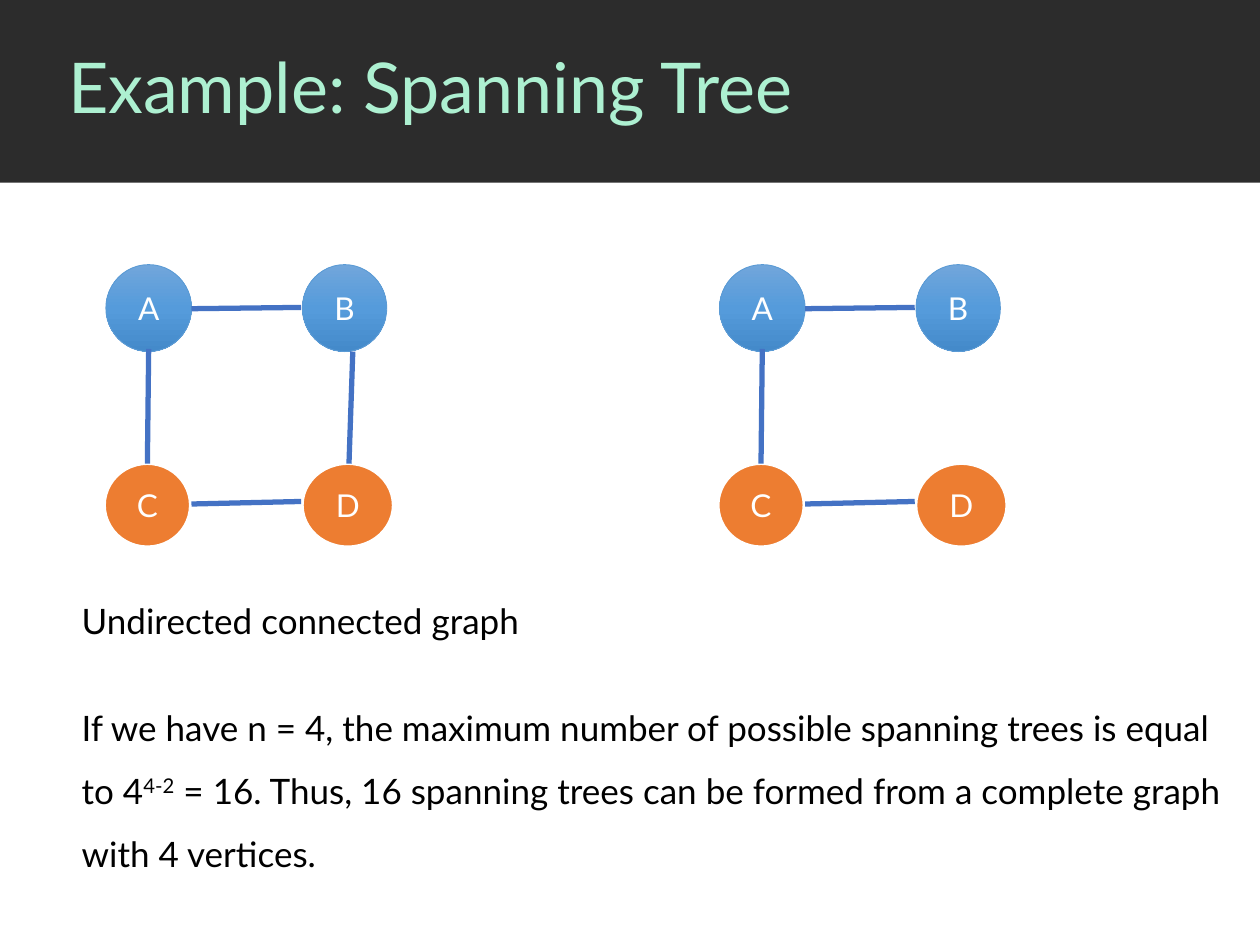
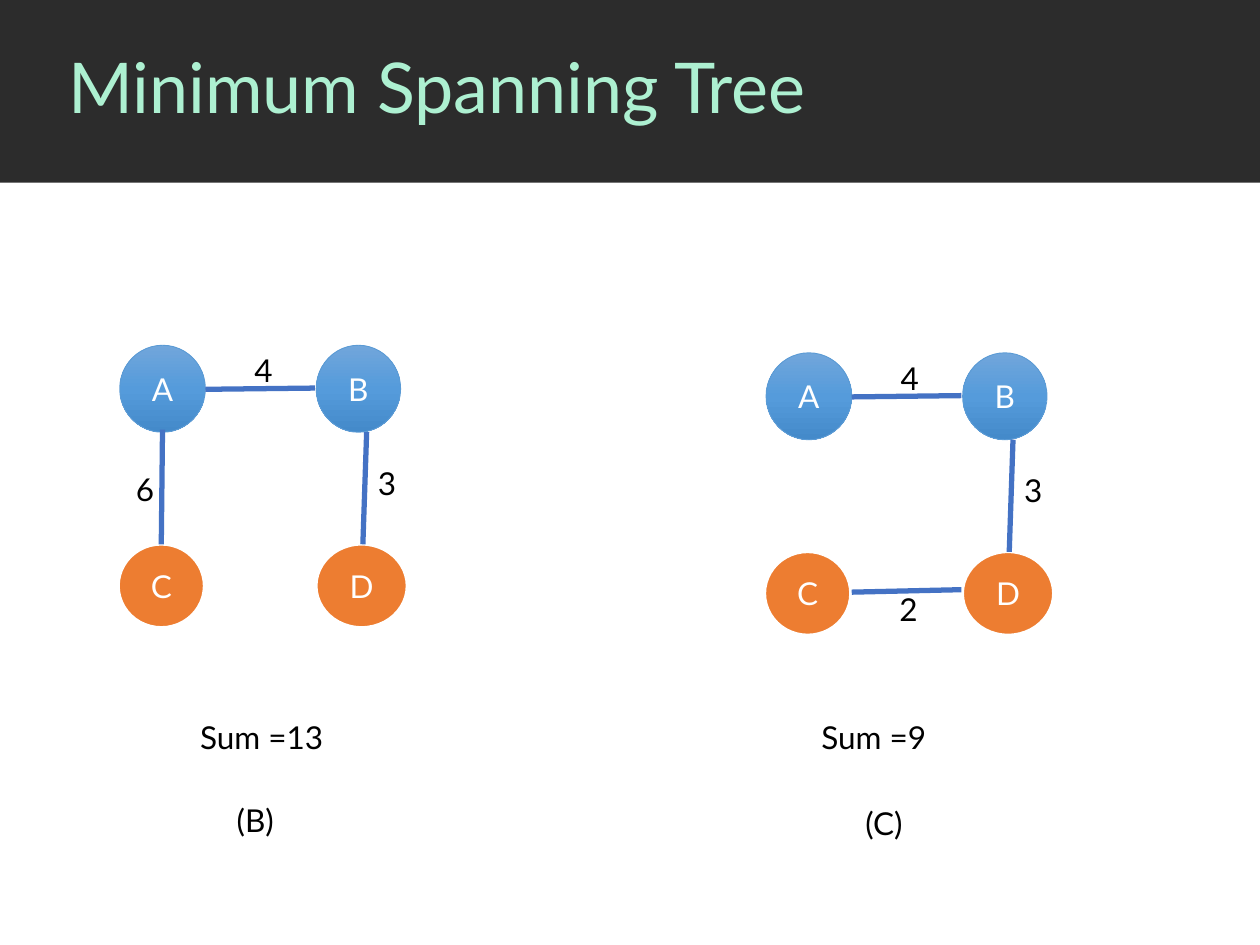
from copy import deepcopy
from dataclasses import dataclass

from pptx import Presentation
from pptx.dml.color import RGBColor
from pptx.enum.shapes import MSO_CONNECTOR, MSO_SHAPE
from pptx.enum.text import MSO_ANCHOR, MSO_AUTO_SIZE, PP_ALIGN
from pptx.oxml.ns import qn
from pptx.oxml.xmlchemy import OxmlElement
from pptx.util import Inches, Pt


@dataclass(frozen=True)
class Theme:
    font: str = "Lato"
    band: str = "2C2C2C"
    title: str = "ADF0D1"
    text: str = "000000"
    white: str = "FFFFFF"
    orange: str = "ED7D31"
    blues: tuple = ("71A6DB", "559BDB", "448ACA")
    blue_line: str = "5B9BD5"
    edge: str = "4472C4"
    title_size: int = 40
    body_size: int = 20
    label_size: int = 18


THEME = Theme()

# Offsets from a graph's top left corner, in inches
NODES = {
    "D": (1.57, 1.58, 0.72, 0.66),
    "B": (1.57, 0, 0.67, 0.69),
    "C": (0, 1.58, 0.68, 0.66),
    "A": (0.01, 0, 0.68, 0.69),
}
EDGES = {
    "AC": (0.35, 0.67, 0.34, 1.58),
    "AB": (1.56, 0.34, 0.69, 0.35),
    "BD": (1.97, 0.69, 1.94, 1.58),
    "CD": (1.56, 1.88, 0.69, 1.9),
}
WEIGHT_OFFSETS = {"AB": (0.98, 0), "AC": (0.04, 0.94),
                  "BD": (1.96, 0.89), "CD": (0.97, 1.83)}


def rgb(value):
    return RGBColor.from_string(value)


def format_runs(p, size, color):
    for r in p.runs:
        r.font.name = THEME.font
        r.font.size = Pt(size)
        r.font.color.rgb = rgb(color)


def add_band(slide):
    """Place the title band on the slide's layout, behind its placeholders."""
    sp = slide.shapes.add_shape(MSO_SHAPE.RECTANGLE, 0, 0, Inches(10), Inches(1.45))
    sp.shadow.inherit = False
    sp.fill.solid()
    sp.fill.fore_color.rgb = rgb(THEME.band)
    sp.line.fill.background()
    slide.slide_layout.shapes.element.insert(2, sp.element)


def add_titled_slide(prs, title):
    slide = prs.slides.add_slide(prs.slide_layouts[5])
    sp = slide.shapes.title
    sp.left, sp.top, sp.width, sp.height = map(Inches, (0.44, 0, 9.56, 1.44))
    tf = sp.text_frame
    tf.text = title
    tf.auto_size = MSO_AUTO_SIZE.NONE
    tf.vertical_anchor = MSO_ANCHOR.MIDDLE
    p = tf.paragraphs[0]
    p.alignment = PP_ALIGN.LEFT
    p.line_spacing = 0.9
    format_runs(p, THEME.title_size, THEME.title)
    return slide


def add_text(slide, box, *parts, size=THEME.label_size, spacing=None):
    """Add a text box; every second part is set as a superscript."""
    sp = slide.shapes.add_textbox(*map(Inches, box))
    tf = sp.text_frame
    tf.word_wrap = True
    tf.auto_size = MSO_AUTO_SIZE.SHAPE_TO_FIT_TEXT
    p = tf.paragraphs[0]
    p.line_spacing = spacing
    for i, part in enumerate(parts):
        r = p.add_run()
        r.text = part
        if i % 2:
            r.font._element.set("baseline", "30000")
    format_runs(p, size, THEME.text)


def fill_blue_gradient(sp):
    sp.fill.gradient()
    gs_list = sp.element.spPr.find(".//" + qn("a:gsLst"))
    gs_list.append(deepcopy(gs_list[0]))
    for stop, position, color in zip(sp.fill.gradient_stops, (0, 0.5, 1), THEME.blues):
        stop.position = position
        stop.color.rgb = rgb(color)
    sp.fill.gradient_angle = 270


def add_node(slide, name, box):
    sp = slide.shapes.add_shape(MSO_SHAPE.OVAL, *map(Inches, box))
    sp.shadow.inherit = False
    if name in "AB":
        fill_blue_gradient(sp)
        line_color, line_width = THEME.blue_line, 0.5
    else:
        sp.fill.solid()
        sp.fill.fore_color.rgb = rgb(THEME.orange)
        line_color, line_width = THEME.white, 1.5
    sp.line.color.rgb = rgb(line_color)
    sp.line.width = Pt(line_width)
    tf = sp.text_frame
    tf.text = name
    tf.vertical_anchor = MSO_ANCHOR.MIDDLE
    p = tf.paragraphs[0]
    p.alignment = PP_ALIGN.CENTER
    format_runs(p, THEME.label_size, THEME.white)


def add_edge(slide, *ends):
    line = slide.shapes.add_connector(MSO_CONNECTOR.STRAIGHT, *map(Inches, ends))
    line.line.color.rgb = rgb(THEME.edge)
    line.line.width = Pt(3)
    line.element.spPr.append(OxmlElement("a:effectLst"))


def add_graph(slide, left, top, edges):
    """Draw the four nodes and the given edges, a dict of edge to weight or None."""
    for name, (x, y, w, h) in NODES.items():
        add_node(slide, name, (left + x, top + y, w, h))
    for edge in edges:
        x1, y1, x2, y2 = EDGES[edge]
        add_edge(slide, left + x1, top + y1, left + x2, top + y2)
    for edge, weight in edges.items():
        if weight is not None:
            x, y = WEIGHT_OFFSETS[edge]
            add_text(slide, (left + x, top + y, 0.31, 0.4), str(weight))


def build_example(prs):
    slide = add_titled_slide(prs, "Example: Spanning Tree")
    add_band(slide)
    add_graph(slide, 0.83, 2.1, dict.fromkeys(("AC", "AB", "BD", "CD")))
    add_text(slide, (0.55, 4.71, 3.73, 0.44), "Undirected connected graph",
             size=THEME.body_size)
    add_graph(slide, 5.7, 2.1, dict.fromkeys(("AC", "AB", "CD")))
    add_text(slide, (0.55, 5.39, 9.3, 1.55),
             "If we have n = 4, the maximum number of possible spanning trees is equal to 4",
             "4-2",
             " = 16. Thus, 16 spanning trees can be formed from a complete graph"
             " with 4 vertices.",
             size=THEME.body_size, spacing=1.5)


def build_minimum(prs):
    slide = add_titled_slide(prs, "Minimum Spanning Tree")
    add_graph(slide, 0.94, 2.74, {"AC": 6, "AB": 4, "BD": 3})
    add_graph(slide, 6.07, 2.8, {"AB": 4, "BD": 3, "CD": 2})
    add_text(slide, (6.42, 5.65, 2.05, 0.4), "Sum =9")
    add_text(slide, (1.49, 5.65, 2.05, 0.4), "Sum =13")
    add_text(slide, (6.77, 6.33, 0.58, 0.4), "(C)")
    add_text(slide, (1.78, 6.31, 0.58, 0.4), "(B)")


def main():
    prs = Presentation()
    prs.slide_width, prs.slide_height = Inches(10), Inches(7.5)
    build_example(prs)
    build_minimum(prs)
    prs.save("out.pptx")


if __name__ == "__main__":
    main()
